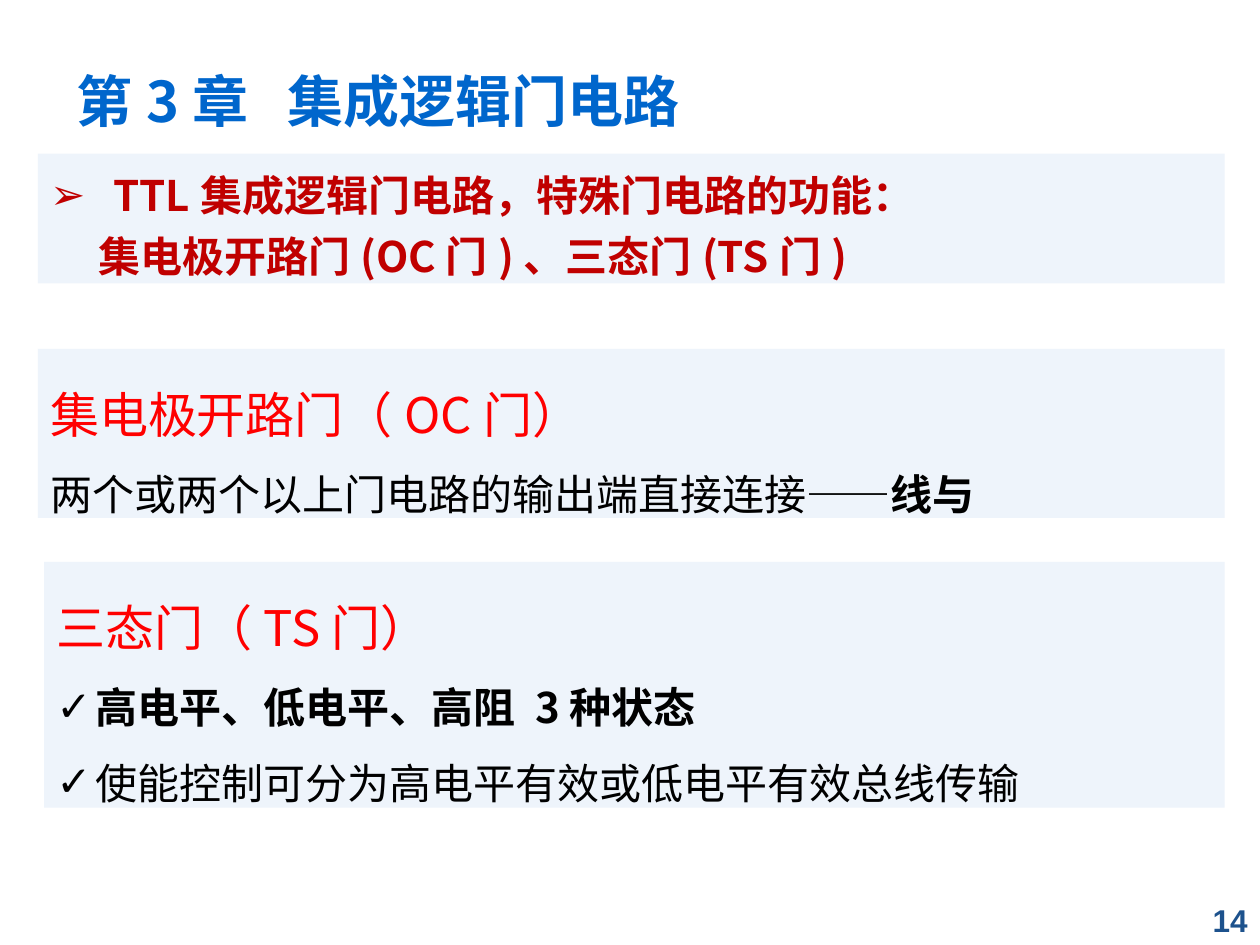
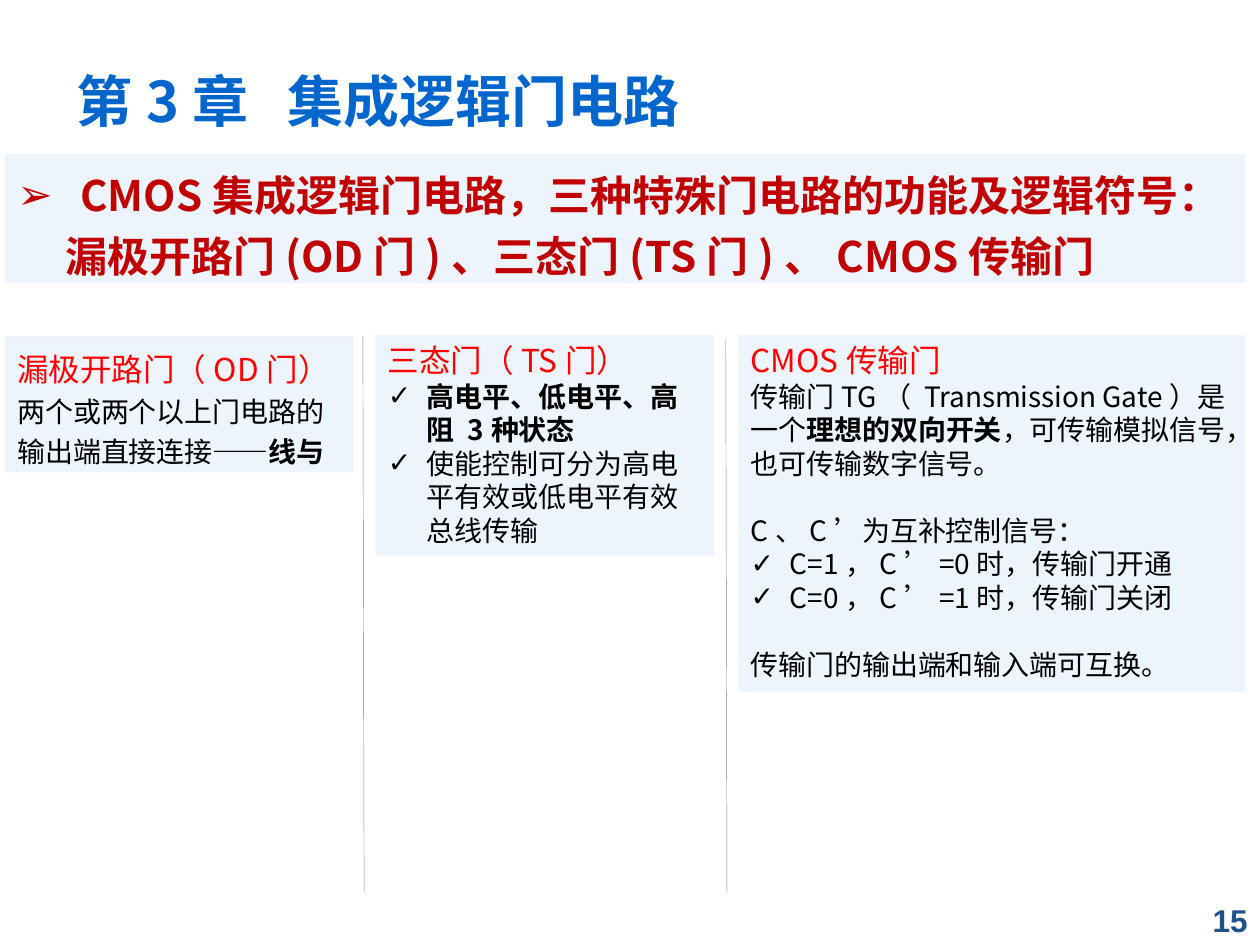
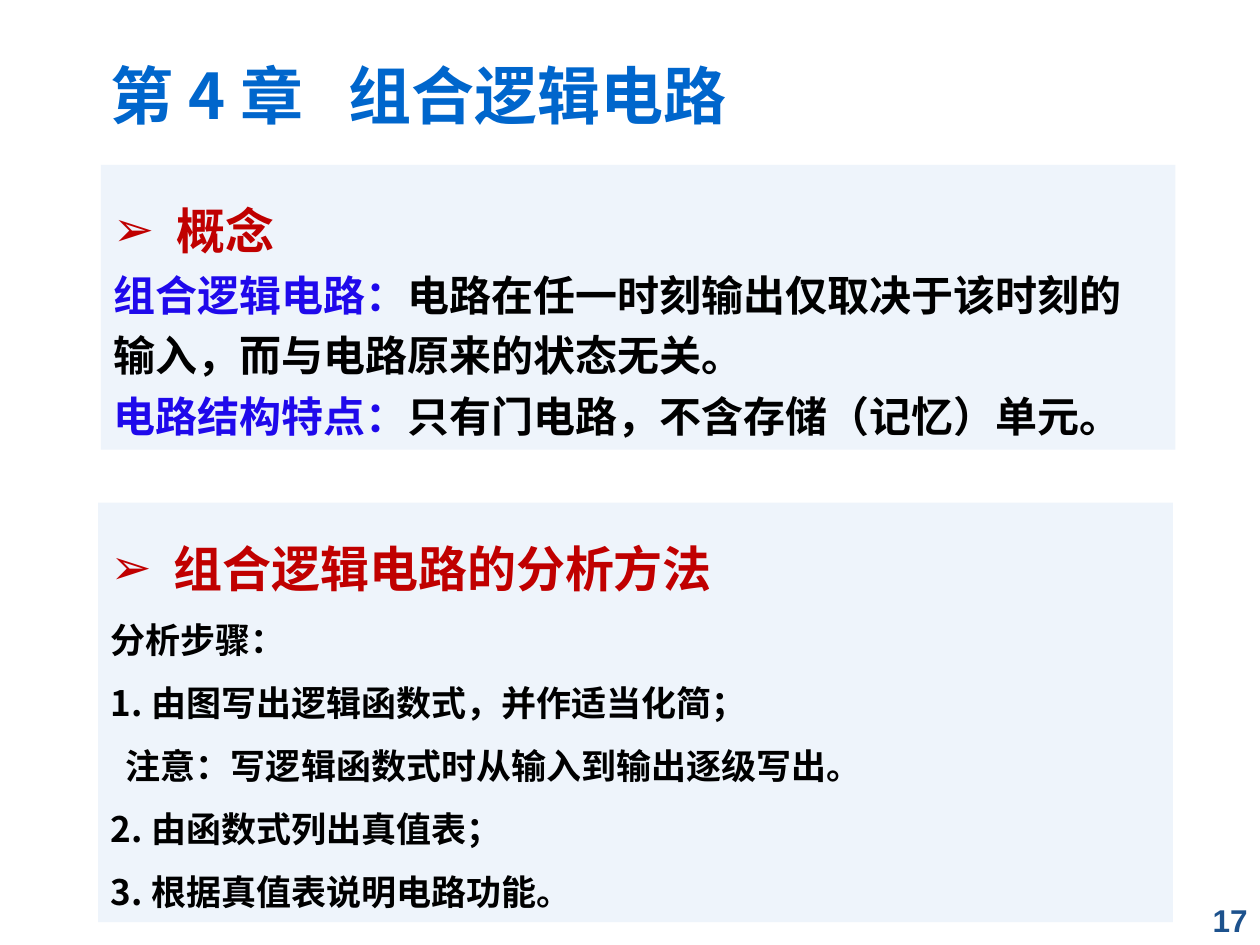
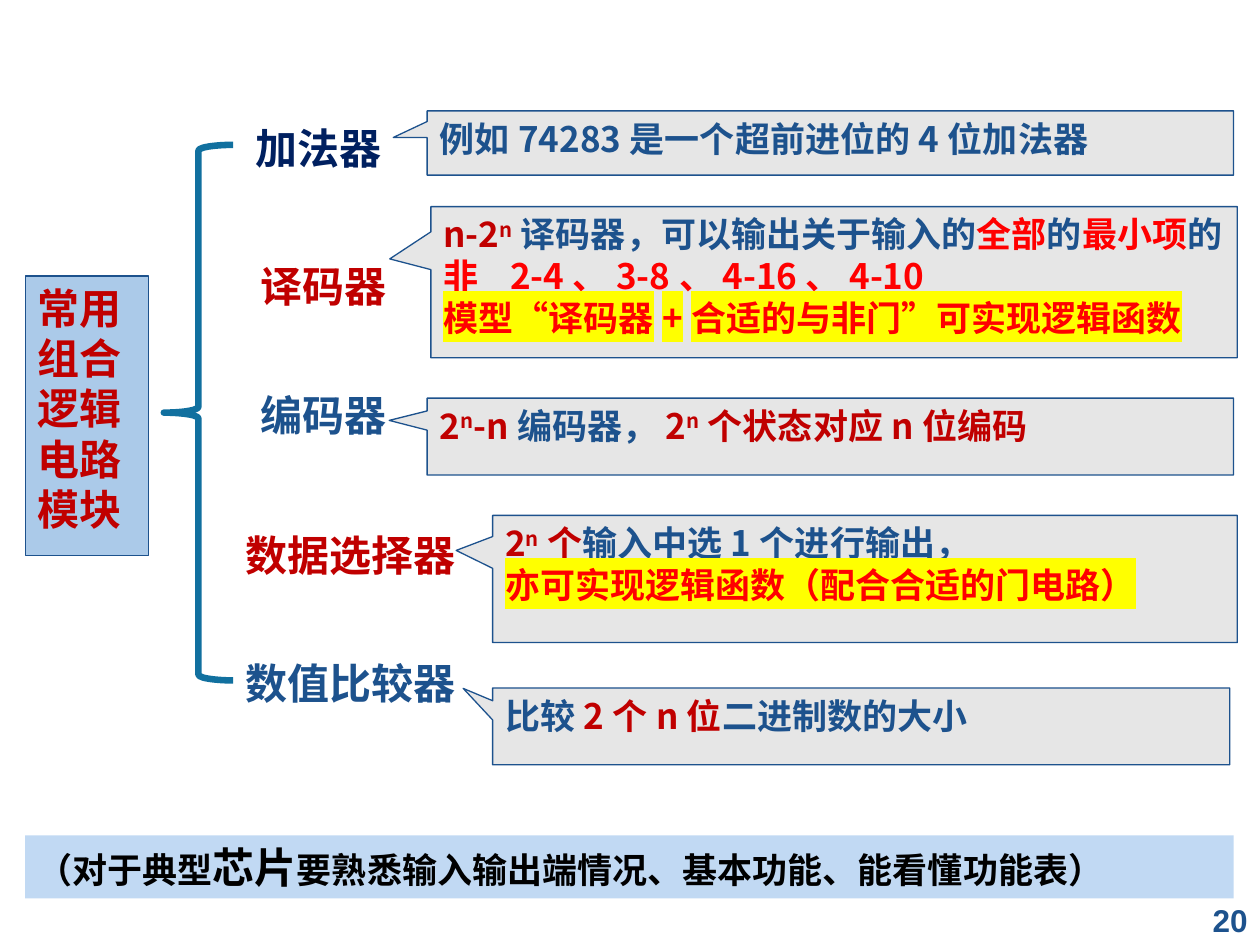
from dataclasses import dataclass
from typing import Optional

from lxml import etree
from pptx import Presentation
from pptx import util as u
from pptx.dml.color import RGBColor
from pptx.enum import shapes, text
from pptx.oxml import ns

WHITE = RGBColor(0xFF, 0xFF, 0xFF)
BLACK = RGBColor(0x00, 0x00, 0x00)
TITLE_BLUE = RGBColor(0x00, 0x66, 0xCC)
DEEP_BLUE = RGBColor(0x1D, 0x52, 0x8D)
NAVY = RGBColor(0x00, 0x20, 0x60)
TERM_BLUE = RGBColor(0x1F, 0x09, 0xEB)
BRACE_BLUE = RGBColor(0x11, 0x70, 0x9F)
PANEL_BLUE = RGBColor(0xEE, 0xF4, 0xFB)
MODULE_BLUE = RGBColor(0xAB, 0xCA, 0xE9)
NOTE_BLUE = RGBColor(0xC1, 0xD9, 0xF3)
DARK_RED = RGBColor(0xC0, 0x00, 0x00)
RED = RGBColor(0xFF, 0x00, 0x00)
YELLOW = RGBColor(0xFF, 0xFF, 0x00)
CALLOUT_GRAY = RGBColor(0xE6, 0xE6, 0xE6)
RULE_GRAY = RGBColor(0x80, 0x80, 0x80)

FONT = "Noto Sans CJK SC"
NUMBER_FONT = "Arial"
ARROW, CHECK = "➢", "✓"
JUSTIFY = text.PP_ALIGN.JUSTIFY


@dataclass
class Run:
    """A stretch of text; unset values come from its line."""
    text: str
    color: Optional[RGBColor] = None
    bold: Optional[bool] = None
    size: Optional[float] = None
    raised: bool = False
    highlight: Optional[RGBColor] = None


@dataclass
class Line:
    """A paragraph with its default text style; lengths are inches and points."""
    runs: list
    size: float
    color: RGBColor = BLACK
    bold: bool = False
    spacing: Optional[float] = None
    bullet: str = ""
    hanging: float = 0
    left: float = 0
    before: float = 0
    tab: float = 0
    align: Optional[text.PP_ALIGN] = None
    font: str = FONT


def child(parent, tag, **attributes):
    """Append a drawing element to a parent."""
    return etree.SubElement(parent, ns.qn(tag), attributes)


def add_run(paragraph, line, part):
    """Add one run in the style of its line."""
    run = paragraph.add_run()
    run.text = part.text
    font = run.font
    font.size = u.Pt(part.size or line.size)
    font.bold = line.bold if part.bold is None else part.bold
    font.color.rgb = part.color or line.color
    properties = run._r.get_or_add_rPr()
    if part.raised:
        properties.set("baseline", "30000")
    if part.highlight:
        child(child(properties, "a:highlight"), "a:srgbClr", val=str(part.highlight))
    font.name = line.font
    child(properties, "a:ea", typeface=FONT)


def write(shape, lines, grow=True, wrap=True):
    """Fill a shape with lines of text from its top left."""
    frame = shape.text_frame
    frame.word_wrap = wrap
    frame.auto_size = text.MSO_AUTO_SIZE.SHAPE_TO_FIT_TEXT if grow else text.MSO_AUTO_SIZE.NONE
    frame.vertical_anchor = text.MSO_ANCHOR.TOP
    for index, line in enumerate(lines):
        paragraph = frame.add_paragraph() if index else frame.paragraphs[0]
        properties = paragraph._p.get_or_add_pPr()
        if line.left or line.hanging:
            properties.set("marL", str(u.Inches(line.left + line.hanging)))
            properties.set("indent", str(u.Inches(-line.hanging)))
        if line.bullet:
            child(properties, "a:buFont", typeface=NUMBER_FONT)
            child(properties, "a:buChar", char=line.bullet)
        if line.tab:
            stops = child(properties, "a:tabLst")
            child(stops, "a:tab", pos=str(u.Inches(line.tab)), algn="l")
        paragraph.alignment = line.align or text.PP_ALIGN.LEFT
        if line.spacing:
            paragraph.line_spacing = line.spacing
        if line.before:
            paragraph.space_before = u.Pt(line.before)
        for part in line.runs:
            add_run(paragraph, line, Run(part) if isinstance(part, str) else part)


def add_text(slide, box, lines, **options):
    """Add a plain text box."""
    write(slide.shapes.add_textbox(*map(u.Inches, box)), lines, **options)


def add_block(slide, box, fill, kind=shapes.MSO_SHAPE.RECTANGLE, outline=None, width=0.75):
    """Add a flat shape with an optional fill and outline."""
    shape = slide.shapes.add_shape(kind, *map(u.Inches, box))
    shape.shadow.inherit = False
    if fill is None:
        shape.fill.background()
    else:
        shape.fill.solid()
        shape.fill.fore_color.rgb = fill
    if outline is None:
        shape.line.fill.background()
    else:
        shape.line.color.rgb = outline
        shape.line.width = u.Pt(width)
    return shape


def add_panel(slide, box, lines):
    """Add a pale panel that holds lines of text."""
    write(add_block(slide, box, PANEL_BLUE), lines)


def add_rule(slide, left, top, height):
    """Add a thin column divider."""
    ends = map(u.Inches, (left, top, left + 0.01, top + height))
    rule = slide.shapes.add_connector(shapes.MSO_CONNECTOR.STRAIGHT, *ends)
    rule.line.color.rgb = RULE_GRAY
    rule.line.width = u.Pt(0.25)
    child(rule._element.spPr, "a:effectLst")


def add_callout(slide, box, pointer, lines):
    """Add a gray callout whose pointer is relative to its box."""
    callout = add_block(slide, box, CALLOUT_GRAY,
                        shapes.MSO_SHAPE.RECTANGULAR_CALLOUT, DEEP_BLUE)
    callout.adjustments[0], callout.adjustments[1] = pointer
    write(callout, lines, grow=False)


def new_slide(presentation, number):
    """Add a white slide with its page number."""
    slide = presentation.slides.add_slide(presentation.slide_layouts[6])
    slide.background.fill.solid()
    slide.background.fill.fore_color.rgb = WHITE
    add_text(slide, (7.67, 7.1, 2.33, 0.4),
             [Line([str(number)], 18, DEEP_BLUE, True,
                   align=text.PP_ALIGN.RIGHT, font=NUMBER_FONT)], grow=False)
    return slide


def add_title(slide, box, chapter, name, size, tab):
    """Add the chapter title with its name at a tab stop."""
    add_text(slide, box, [Line([f"{chapter}\t{name}"], size, TITLE_BLUE, True, 1.5, tab=tab)])


def add_gate_heading(slide, left, width, topic, gates):
    """Add the chapter 3 title and the panel that names its gates."""
    add_title(slide, (0.51, 0.21, 8.45, 0.81), "第3章", "集成逻辑门电路", 32, 1.67)
    add_panel(slide, (left, 1.22, width, 1.03), [
        Line([topic], 24, DARK_RED, True, 1.2, ARROW, 0.5, align=JUSTIFY),
        Line([gates], 24, DARK_RED, True, 1.2, left=0.38, align=JUSTIFY)])


def add_open_gate(slide, box, name, sizes, spacing):
    """Add the panel on wired-AND gates."""
    add_panel(slide, box, [
        Line([name], sizes[0], RED, spacing=spacing),
        Line(["两个或两个以上门电路的输出端直接连接——", Run("线与", bold=True)],
             sizes[1], spacing=spacing)])


def add_three_state_gate(slide, box, sizes, spacing=None):
    """Add the panel on three-state gates."""
    states = ["高电平、低电平、高阻 3种状态", "使能控制可分为高电平有效或低电平有效总线传输"]
    add_panel(slide, box, [Line(["三态门（TS门）"], sizes[0], RED, spacing=spacing)] + [
        Line([state], sizes[1], bold=state is states[0], spacing=spacing,
             bullet=CHECK, hanging=0.31) for state in states])


def add_transmission_gate(slide, box):
    """Add the panel on the CMOS transmission gate."""
    add_panel(slide, box, [
        Line(["CMOS传输门"], 18, RED),
        Line(["传输门TG（ Transmission Gate）是一个", Run("理想的双向开关", bold=True),
              "，可传输模拟信号，也可传输数字信号。"], 16),
        Line(["C、C’为互补控制信号："], 16, before=19),
        Line(["C=1，C’=0时，传输门开通"], 16, bullet=CHECK, hanging=0.31),
        Line(["C=0，C’=1时，传输门关闭"], 16, bullet=CHECK, hanging=0.31),
        Line(["传输门的输出端和输入端可互换。"], 16, before=19)])


def build_ttl_slide(presentation):
    """Build the slide on TTL gates."""
    slide = new_slide(presentation, 14)
    add_gate_heading(slide, 0.3, 9.42, "TTL集成逻辑门电路，特殊门电路的功能：",
                     "集电极开路门(OC门)、三态门(TS门)")
    add_open_gate(slide, (0.3, 2.77, 9.42, 1.34), "集电极开路门（OC门）", (28, 24), 1.5)
    add_three_state_gate(slide, (0.35, 4.46, 9.37, 1.95), (28, 24), 1.5)


def build_cmos_slide(presentation):
    """Build the three-column slide on CMOS gates."""
    slide = new_slide(presentation, 15)
    add_gate_heading(slide, 0.04, 9.84, "CMOS集成逻辑门电路，三种特殊门电路的功能及逻辑符号：",
                     "漏极开路门(OD门)、三态门(TS门)、CMOS传输门")
    add_open_gate(slide, (0.04, 2.67, 2.77, 1.08), "漏极开路门（OD门）", (18, 16), 1.2)
    add_three_state_gate(slide, (2.98, 2.66, 2.69, 1.75), (18, 16))
    add_transmission_gate(slide, (5.86, 2.66, 4.02, 2.83))
    for left, top in ((2.88, 2.67), (5.76, 2.69)):
        add_rule(slide, left, top, 4.41)


def build_combinational_slide(presentation):
    """Build the slide on combinational circuits and their analysis."""
    slide = new_slide(presentation, 17)
    add_title(slide, (0.78, 0.1, 8.55, 0.9), "第4章", "组合逻辑电路", 36, 1.89)
    concepts = [("组合逻辑电路：", "电路在任一时刻输出仅取决于该时刻的输入，而与电路原来的状态无关。"),
                ("电路结构特点：", "只有门电路，不含存储（记忆）单元。")]
    add_panel(slide, (0.8, 1.31, 8.53, 2.26),
              [Line(["概念"], 28, DARK_RED, True, 1.5, ARROW, 0.5)] + [
                  Line([Run(term, TERM_BLUE), meaning], 24, bold=True, spacing=1.2)
                  for term, meaning in concepts])
    steps = [("分析步骤：", 0), ("1.由图写出逻辑函数式，并作适当化简；", 0),
             ("注意：写逻辑函数式时从输入到输出逐级写出。", 0.12),
             ("2.由函数式列出真值表；", 0), ("3.根据真值表说明电路功能。", 0)]
    add_panel(slide, (0.78, 3.99, 8.53, 3.33),
              [Line(["组合逻辑电路的分析方法"], 28, DARK_RED, True, 1.5, ARROW, 0.5)] + [
                  Line([step], 20, bold=True, spacing=1.5, left=left) for step, left in steps])


def add_module_tree(slide, left, top):
    """Add the root box, the brace and the module names."""
    root = add_block(slide, (left, top + 1.04, 0.98, 2.22), MODULE_BLUE, outline=DEEP_BLUE)
    write(root, [Line([word], 24, DARK_RED, True, font=NUMBER_FONT)
                 for word in ("常用", "组合", "逻辑", "电路", "模块")], grow=False)
    brace = add_block(slide, (left + 1.1, top, 0.55, 4.25), None,
                      shapes.MSO_SHAPE.LEFT_BRACE, BRACE_BLUE, 3.75)
    brace.adjustments[0], brace.adjustments[1] = 0.083, 0.5
    modules = [("加法器", 1.73, -0.23, 1.2, NAVY), ("译码器", 1.77, 0.87, 1.2, DARK_RED),
               ("编码器", 1.77, 1.89, 1.2, DEEP_BLUE), ("数据选择器", 1.65, 3, 1.93, DARK_RED),
               ("数值比较器", 1.65, 4.02, 1.93, DEEP_BLUE)]
    for name, across, down, width, color in modules:
        add_text(slide, (left + across, top + down, width, 0.5),
                 [Line([name], 24, color, True)], wrap=False)


def add_module_callouts(slide):
    """Add the callout that explains each module."""
    power = [Run("2", DARK_RED), Run("n", DARK_RED, raised=True)]
    callouts = [
        ((3.39, 0.88, 6.4, 0.51), (-0.542, -0.086), [["例如74283是一个超前进位的4位加法器"]]),
        ((3.42, 1.64, 6.4, 1.2), (-0.551, -0.154), [
            [Run("n-2", DARK_RED), power[1], "译码器，可以输出关于输入的", Run("全部", RED), "的",
             Run("最小项", RED), "的", Run("非\t2-4、3-8、4-16、4-10", RED)],
            [Run("模型“译码器+合适的与非门”可实现逻辑函数", RED, highlight=YELLOW)]]),
        ((3.39, 3.16, 6.4, 0.61), (-0.547, -0.21), [
            power + [Run("-n", DARK_RED), "编码器，"] + power
            + [Run("个状态对应n位编码", DARK_RED)]]),
        ((3.91, 4.09, 5.91, 1.01), (-0.549, -0.224), [
            power + [Run("个", DARK_RED), "输入中选1个进行输出，"],
            [Run("亦可实现逻辑函数（配合合适的门电路）", RED, highlight=YELLOW)]]),
        ((3.91, 5.46, 5.85, 0.61), (-0.54, -0.494), [
            ["比较", Run("2个n位", DARK_RED), "二进制数的大小"]])]
    for box, pointer, rows in callouts:
        add_callout(slide, box, pointer,
                    [Line(row, 20, DEEP_BLUE, True, tab=0.53) for row in rows])


def build_modules_slide(presentation):
    """Build the slide on common combinational modules."""
    slide = new_slide(presentation, 20)
    add_module_tree(slide, 0.2, 1.15)
    add_module_callouts(slide)
    write(add_block(slide, (0.2, 6.63, 9.59, 0.5), NOTE_BLUE), [
        Line(["（对于典型", Run("芯片", size=24), "要熟悉输入输出端情况、基本功能、能看懂功能表）"],
             20, bold=True, font=NUMBER_FONT)])


def main():
    """Build and save the presentation."""
    presentation = Presentation()
    presentation.slide_width = u.Inches(10)
    presentation.slide_height = u.Inches(7.5)
    build_ttl_slide(presentation)
    build_cmos_slide(presentation)
    build_combinational_slide(presentation)
    build_modules_slide(presentation)
    presentation.save("out.pptx")


if __name__ == "__main__":
    main()
